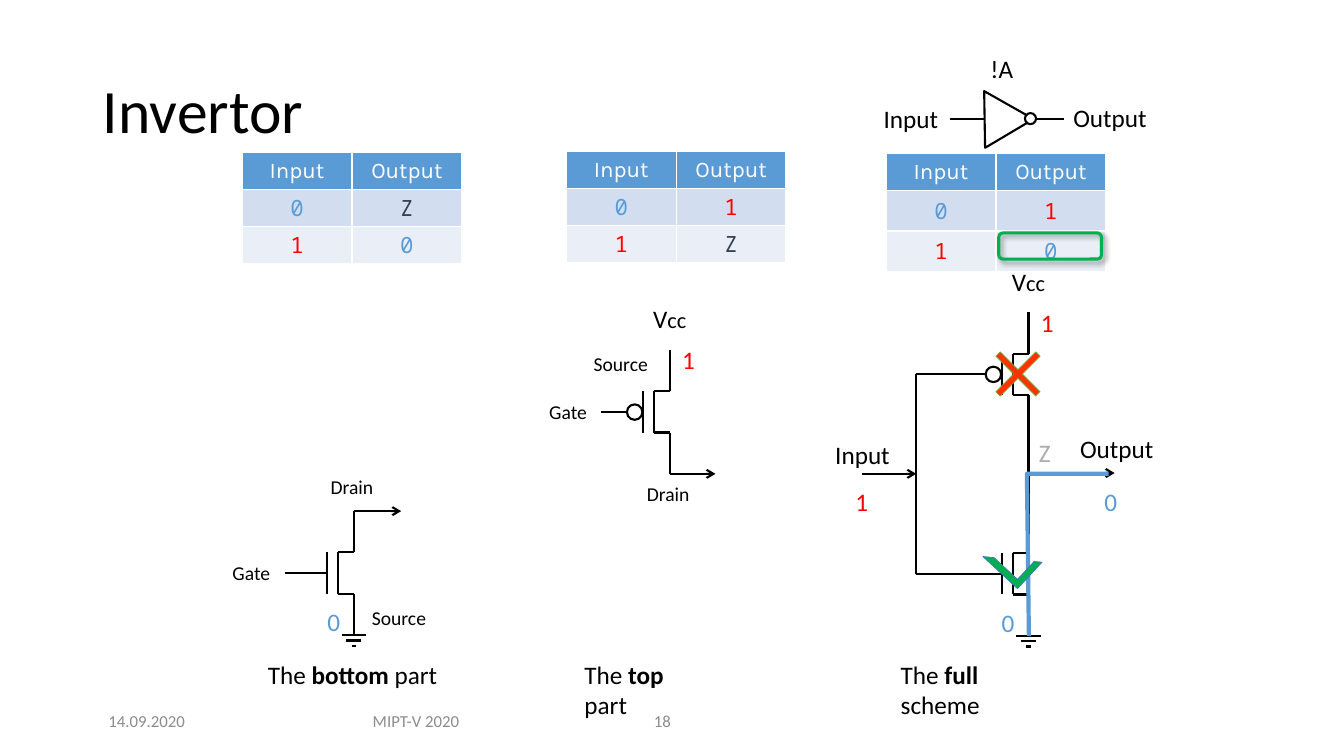
from lxml import etree
from pptx import Presentation
from pptx.dml.color import RGBColor
from pptx.enum.shapes import MSO_CONNECTOR, MSO_SHAPE
from pptx.enum.text import MSO_ANCHOR, PP_ALIGN
from pptx.oxml.ns import qn
from pptx.util import Cm, Pt

LEFT, CENTER = PP_ALIGN.LEFT, PP_ALIGN.CENTER
TOP, MIDDLE = MSO_ANCHOR.TOP, MSO_ANCHOR.MIDDLE
STRAIGHT = MSO_CONNECTOR.STRAIGHT
OVAL, TRIANGLE, ROUNDED = MSO_SHAPE.OVAL, MSO_SHAPE.ISOSCELES_TRIANGLE, MSO_SHAPE.ROUNDED_RECTANGLE
CROSS, CHECK = MSO_SHAPE.MATH_MULTIPLY, MSO_SHAPE.HALF_FRAME

COLORS = {
    name: RGBColor.from_string(value)
    for name, value in {
        "black": "000000", "white": "FFFFFF", "gray": "8C8C8C", "silver": "AFABAB",
        "blue": "5B9BD5", "red": "FF0000", "slate": "333F50", "green": "00B050",
        "cross": "FF3300", "cross edge": "70AD47", "check edge": "4472C4",
        "band 1": "D2DEEF", "band 2": "EAEFF7",
    }.items()
}
LEVEL_COLORS = {"0": "blue", "1": "red", "Z": "slate"}


def write(frame, text, size=18, color="black", font="Calibri", align=LEFT,
          anchor=TOP, wrap=False, accent_size=None, accent_bold=False):
    """Fill a text frame; every second part between asterisks takes the accent format."""
    frame.word_wrap = wrap
    frame.vertical_anchor = anchor
    para = frame.paragraphs[0]
    para.alignment = align
    for index, part in enumerate(text.split("*")):
        accented = index % 2 == 1
        span = para.add_run()
        span.text = part
        span.font.name = font
        span.font.size = Pt(accent_size if accented and accent_size else size)
        span.font.bold = accented and accent_bold
        span.font.color.rgb = COLORS[color]


def wire(shapes, x1, y1, x2, y2, arrow=False):
    line = shapes.add_connector(STRAIGHT, Cm(x1), Cm(y1), Cm(x2), Cm(y2))
    line.line.width = Pt(1.5)
    line.line.color.rgb = COLORS["black"]
    properties = line._element.spPr
    if arrow:
        etree.SubElement(properties.find(qn("a:ln")), qn("a:tailEnd"), type="arrow")
    etree.SubElement(properties, qn("a:effectLst"))


deck = Presentation()
deck.slide_width, deck.slide_height = Cm(33.87), Cm(19.05)
page = deck.slides.add_slide(deck.slide_layouts[5])

title = page.shapes.title
title.left, title.top, title.width, title.height = Cm(2.34), Cm(1.02), Cm(29.21), Cm(3.68)
write(title.text_frame, "Invertor", size=44, anchor=MIDDLE, wrap=True)
title.text_frame.paragraphs[0].line_spacing = 0.9

# Truth tables: left, top, height of the value rows, values
truth_tables = [
    (6.1, 3.84, 0.93, ["0Z", "10"]),
    (14.27, 3.82, 0.93, ["01", "1Z"]),
    (22.33, 3.87, 1.02, ["01", "10"]),
]
for left, top, row_height, levels in truth_tables:
    table = page.shapes.add_table(3, 2, Cm(left), Cm(top), Cm(5.54), Cm(0.93 + 2 * row_height)).table
    for row_index, values in enumerate([("Input", "Output"), *levels]):
        table.rows[row_index].height = Cm(row_height if row_index else 0.93)
        for column_index, value in enumerate(values):
            cell = table.cell(row_index, column_index)
            cell.margin_top = cell.margin_bottom = Cm(0.05)
            cell.vertical_anchor = MIDDLE
            cell.fill.solid()
            cell.fill.fore_color.rgb = COLORS[f"band {row_index}" if row_index else "blue"]
            write(cell.text_frame, value, size=16, align=CENTER, anchor=MIDDLE, wrap=True,
                  color=LEVEL_COLORS.get(value, "white"),
                  font="Noto Sans Mono" if row_index else "Karla")

# Transistors: upper end of the channel, and whether the gate is inverted
transistors = [(8.52, 13.92, False), (16.48, 9.86, True), (25.52, 13.94, False), (25.52, 8.91, True)]
transistor_wires = [
    (0, 0, 0, 1.04), (0, 0, 0.4, 0), (0, 1.04, 0.4, 1.04), (0.4, -1.04, 0.4, 0),
    (0.4, 1.04, 0.4, 2.08), (-0.28, 0, -0.28, 1.04), (-0.28, 0.52, -1.34, 0.52),
]
ground_bars = [(0.31, 0), (0.19, 0.14), (0.06, 0.27)]
bubbles = [(page.shapes, 25.83, 2.85, 0.28)]
for x, y, inverted in transistors:
    group = page.shapes.add_group_shape()
    for x1, y1, x2, y2 in transistor_wires:
        wire(group.shapes, x + x1, y + y1, x + x2, y + y2)
    if inverted:
        bubbles.append((group.shapes, x - 0.68, y + 0.33, 0.39))
    else:
        for half, drop in ground_bars:
            wire(group.shapes, x + 0.4 - half, y + 2.08 + drop, x + 0.4 + half, y + 2.08 + drop)

circuit_wires = [
    (8.92, 12.88, 10.11, 12.88, True),
    (16.88, 11.94, 18.03, 11.94, True),
    (24.18, 14.46, 23.09, 14.46, False),
    (24.18, 9.43, 23.09, 9.43, False),
    (23.09, 9.43, 23.09, 14.46, False),
    (21.72, 11.94, 23.09, 11.94, True),
    (25.92, 10.99, 25.92, 12.9, False),
    (25.92, 11.92, 28.09, 11.92, True),
    (26.82, 3, 26.11, 3, False),
    (24.79, 3, 23.93, 3, False),
]
for x1, y1, x2, y2, arrow in circuit_wires:
    wire(page.shapes, x1, y1, x2, y2, arrow)

# Discharge route from the output to the ground
builder = page.shapes.build_freeform(Cm(25.93), Cm(16.03))
builder.add_line_segments([(Cm(25.88), Cm(11.94)), (Cm(27.94), Cm(11.94))], close=False)
route = builder.convert_to_shape()
route.shadow.inherit = False
route.fill.background()
route.line.color.rgb = COLORS["blue"]
route.line.width = Pt(3)

# Symbols: owner, preset, left, top, width, height, rotation, adjustments, fill, line, line width
symbols = [
    (page.shapes, CROSS, 24.69, 8.46, 1.93, 1.93, 0, [0.08], "cross", "cross edge", 0.5),
    (page.shapes, CHECK, 24.92, 13.64, 1.19, 0.91, 222.9, [0.19, 0.175], "green", "check edge", 0.5),
    (page.shapes, TRIANGLE, 24.41, 2.21, 1.42, 1.24, 329.3, [], "white", "black", 1.5),
    *[(owner, OVAL, x, y, size, size, 0, [], "white", "black", 1.5) for owner, x, y, size in bubbles],
    (page.shapes, ROUNDED, 25.17, 5.87, 2.59, 0.66, 0, [], None, "green", 2.25),
]
for owner, preset, left, top, width, height, rotation, adjustments, fill, edge, weight in symbols:
    symbol = owner.add_shape(preset, Cm(left), Cm(top), Cm(width), Cm(height))
    symbol.rotation = rotation
    symbol.shadow.inherit = False
    for index, adjustment in enumerate(adjustments):
        symbol.adjustments[index] = adjustment
    if fill:
        symbol.fill.solid()
        symbol.fill.fore_color.rgb = COLORS[fill]
    else:
        symbol.fill.background()
    symbol.line.color.rgb = COLORS[edge]
    symbol.line.width = Pt(weight)

# The highlight around the result is the last symbol and the only one with a shadow
effects = symbol._element.spPr.find(qn("a:effectLst"))
shadow = etree.SubElement(effects, qn("a:outerShdw"), blurRad=str(Pt(4)), dist=str(Pt(3)),
                          dir="2700000", algn="tl", rotWithShape="0")
shade = etree.SubElement(shadow, qn("a:srgbClr"), val=str(COLORS["black"]))
etree.SubElement(shade, qn("a:alpha"), val="40000")

terminal = {"size": 14}
supply = {"accent_size": 16}
low, high = {"color": "blue"}, {"color": "red"}
caption = {"wrap": True, "accent_bold": True}
footer = {"size": 12, "color": "gray", "anchor": MIDDLE, "wrap": True}
labels = [
    ("Gate", 5.61, 14.02, 1.5, terminal),
    ("Drain", 8.08, 11.84, 1.6, terminal),
    ("Source", 9.12, 15.14, 1.96, terminal),
    ("Gate", 13.59, 9.96, 1.5, terminal),
    ("Drain", 16.05, 12.01, 1.6, terminal),
    ("Source", 14.71, 8.74, 1.96, terminal),
    ("V*cc", 16.21, 7.52, 1.37, supply),
    ("V*cc", 25.25, 6.58, 1.37, supply),
    ("0", 8, 15.16, 0.84, low),
    ("0", 24.99, 15.19, 0.84, low),
    ("0", 27.58, 12.12, 0.84, low),
    ("1", 16.94, 8.56, 0.86, high),
    ("1", 25.98, 7.62, 0.86, high),
    ("1", 21.31, 12.12, 0.86, high),
    ("Z", 25.93, 10.9, 0.81, {"color": "silver"}),
    ("Input", 20.8, 10.95, 1.9, {}),
    ("Output", 26.97, 10.8, 2.41, {}),
    ("Input", 22.02, 2.49, 1.9, {}),
    ("Output", 26.8, 2.46, 2.41, {}),
    ("!A", 24.71, 1.22, 1.09, {}),
    ("The *bottom *part", 6.5, 16.48, 4.85, caption),
    ("The *top *part", 14.48, 16.48, 3.68, caption),
    ("The *full *scheme", 22.45, 16.48, 4.55, caption),
    ("14.09.2020", 2.34, 17.65, 2.72, {**footer, "align": CENTER}),
    ("MIPT-V 2020", 8.48, 17.65, 4.01, {**footer, "align": CENTER}),
    ("18", 16.23, 17.65, 2.01, footer),
]
for text, left, top, width, style in labels:
    height = 0.86 if style is terminal else 1.02
    box = page.shapes.add_textbox(Cm(left), Cm(top), Cm(width), Cm(height))
    write(box.text_frame, text, **style)

deck.save("out.pptx")
